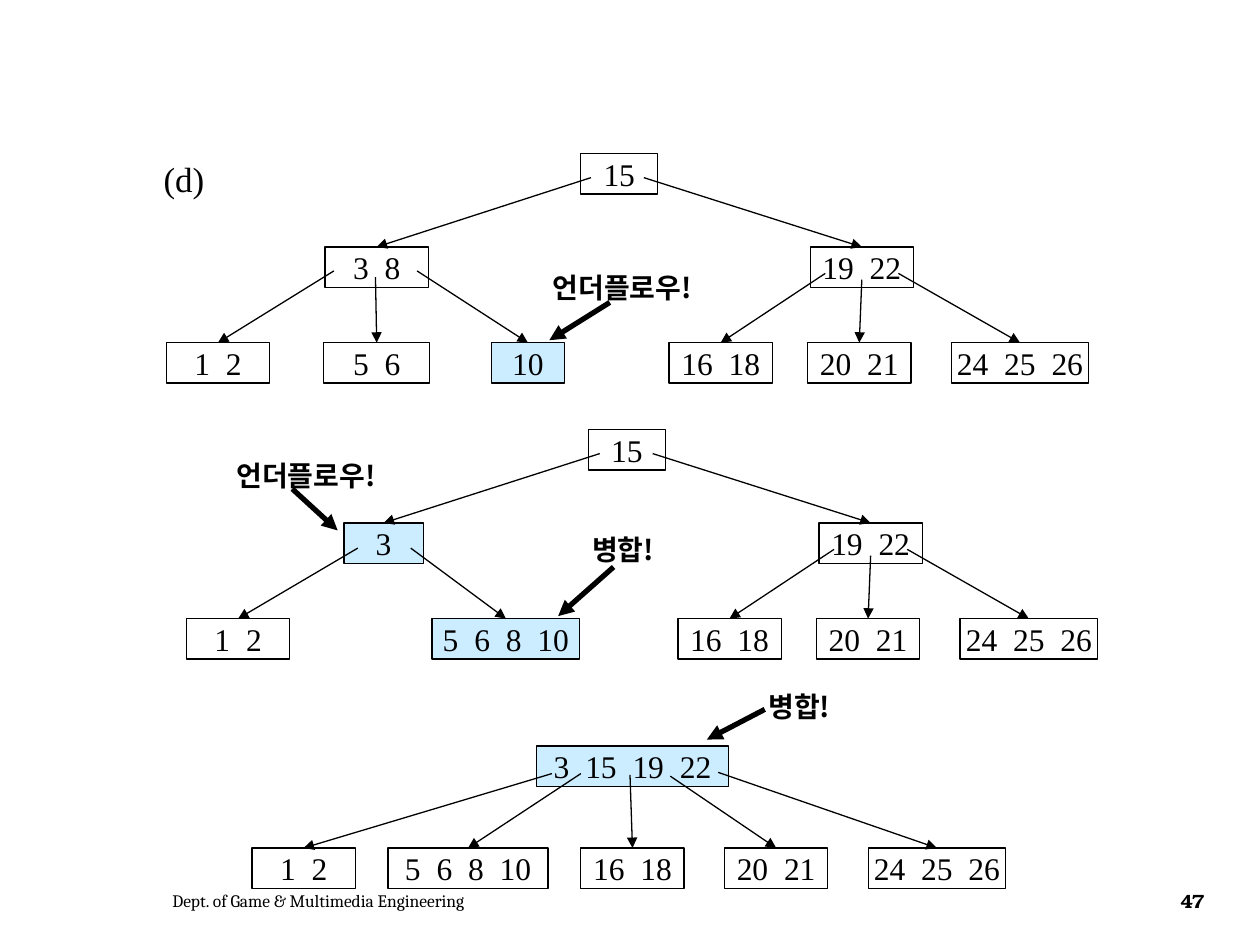
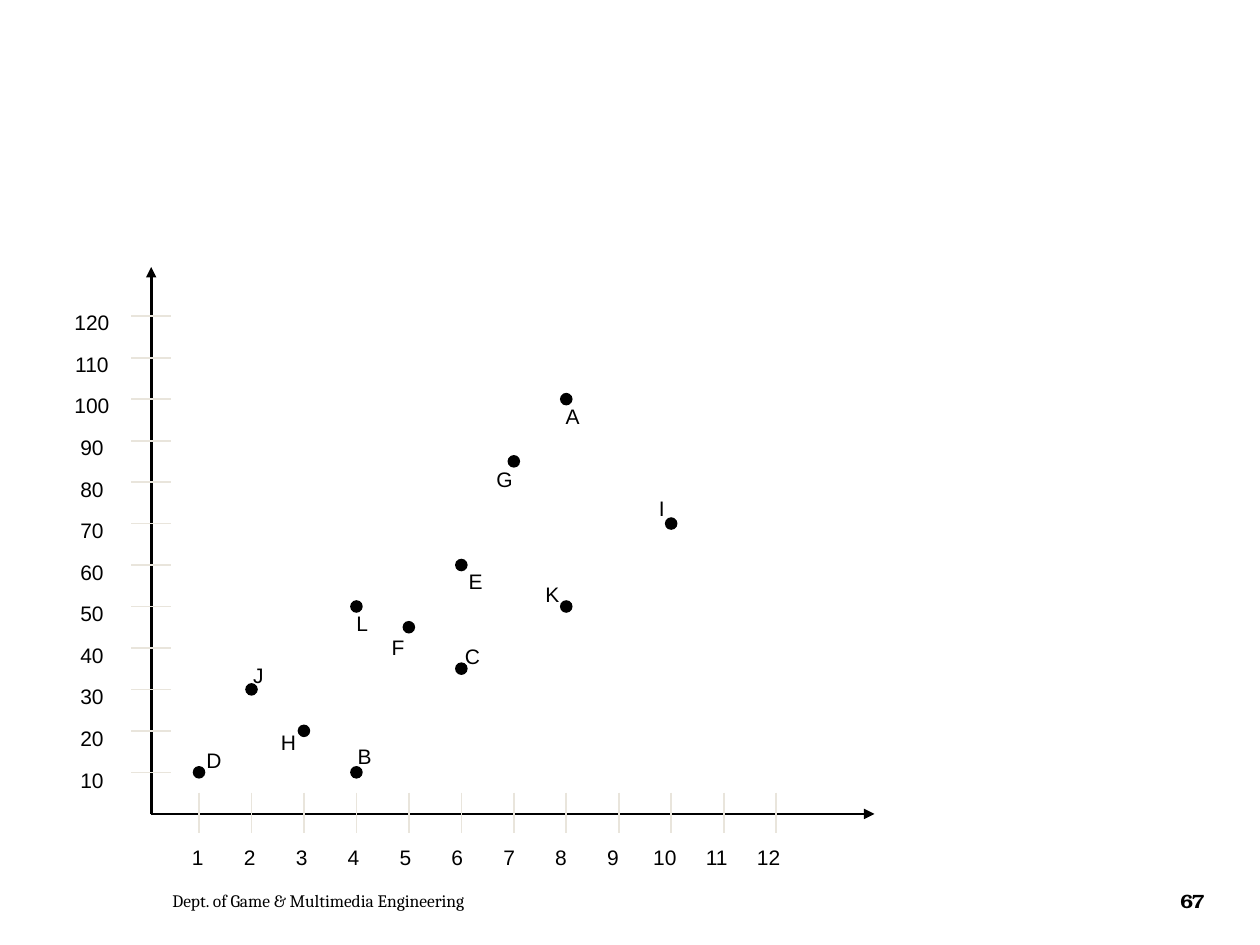
from lxml.etree import SubElement
from pptx import Presentation
from pptx.dml.color import RGBColor
from pptx.enum.shapes import MSO_CONNECTOR, MSO_SHAPE
from pptx.enum.text import MSO_ANCHOR, PP_ALIGN
from pptx.oxml.ns import qn
from pptx.util import Emu, Pt

PX = 9144  # 100 px to the inch
BLACK, HIGHLIGHT, TICK = "000000", "CCECFF", "E9E5DC"
SERIF, SANS, KOREAN = "Times New Roman", "Arial", "Noto Sans CJK KR"
FOOTER = "Dept. of Game & Multimedia Engineering"

# Each tree: rows of (top, nodes); node: keys, left, width, highlighted, arrow start
NODE_HEIGHT = 32
TREES = [
    [(122, [("15", 461, 61, False, None)]),
     (196, [("3 8", 258, 82, False, (469, 141)),
            ("19 22", 643, 82, False, (511, 141))]),
     (272, [("1 2", 132, 82, False, (265, 215)),
            ("5 6", 257, 84, False, (298, 220)),
            ("10", 390, 58, True, (331, 215)),
            ("16 18", 531, 82, False, (655, 217)),
            ("20 21", 641, 82, False, (684, 222)),
            ("24 25 26", 755, 109, False, (713, 217))])],
    [(341, [("15", 467, 61, False, None)]),
     (415, [("3", 273, 63, True, (476, 360)),
            ("19 22", 650, 82, False, (518, 360))]),
     (491, [("1 2", 148, 82, False, (284, 435)),
            ("5 6 8 10", 343, 117, True, (326, 435)),
            ("16 18", 538, 82, False, (662, 436)),
            ("20 21", 648, 82, False, (691, 441)),
            ("24 25 26", 762, 109, False, (720, 436))])],
    [(592, [("3 15 19 22", 426, 152, True, None)]),
     (673, [("1 2", 200, 82, False, (438, 614)),
            ("5 6 8 10", 308, 127, False, (461, 614)),
            ("16 18", 461, 82, False, (500, 615)),
            ("20 21", 575, 82, False, (532, 616)),
            ("24 25 26", 689, 109, False, (570, 613))])],
]
# text, left, top, width, arrow start, arrow end
CALLOUTS = [
    ("언더플로우!", 429, 210, 137, (484, 240), (436, 270)),
    ("언더플로우!", 178, 359, 137, (232, 388), (268, 421)),
    ("병합!", 460, 418, 71, (487, 450), (443, 489)),
    ("병합!", 600, 542, 71, (607, 563), (561, 587)),
]

ORIGIN = (120, 646)
STEPS = 12
FIRST_TICK, LAST_TICK = (158, 613), (616, 251)
FIRST_NUMBER, LAST_NUMBER = 157, 610
DOT = 10
# name, x value, y value, label left, label top
POINTS = [
    ("A", 8, 100, 439, 315), ("B", 4, 10, 274, 585), ("C", 6, 35, 359, 506),
    ("D", 1, 10, 154, 588), ("E", 6, 60, 362, 446), ("F", 5, 45, 301, 499),
    ("G", 7, 85, 384, 365), ("H", 3, 20, 213, 574), ("I", 10, 70, 513, 388),
    ("J", 2, 30, 191, 521), ("K", 8, 50, 423, 457), ("L", 4, 50, 273, 480),
]


def px(*lengths):
    return [Emu(round(length * PX)) for length in lengths]


def color(value):
    return RGBColor.from_string(value)


def between(first, last, step):
    """Place of a step, counted from 1, when STEPS steps run from first to last."""
    return first + (last - first) * (step - 1) / (STEPS - 1)


def style(para, font, size, bold=False, align=None, spacing=None):
    """Format a paragraph; spacing is the letter spacing in 1/100 pt."""
    para.alignment = align
    para.font.name, para.font.size, para.font.bold = font, Pt(size), bold
    para.font.color.rgb = color(BLACK)
    defaults = para._p.pPr.find(qn("a:defRPr"))
    SubElement(defaults, qn("a:ea")).set("typeface", font)
    if spacing:
        defaults.set("spc", str(spacing))


def add_text(page, text, place, font, size, wrap=False, middle=False, **looks):
    box = page.shapes.add_textbox(*px(*place))
    frame = box.text_frame
    frame.word_wrap = wrap
    frame.vertical_anchor = MSO_ANCHOR.MIDDLE if middle else MSO_ANCHOR.TOP
    frame.text = text
    for para in frame.paragraphs:
        style(para, font, size, **looks)
    return box


def add_line(page, start, end, width=0.75, line_color=BLACK, arrow=True):
    line = page.shapes.add_connector(MSO_CONNECTOR.STRAIGHT, *px(*start, *end))
    line.line.color.rgb = color(line_color)
    line.line.width = Pt(width)
    properties = line._element.spPr
    if arrow:
        SubElement(properties.find(qn("a:ln")), qn("a:tailEnd")).set("type", "triangle")
    SubElement(properties, qn("a:effectLst"))
    return line


def add_footer(page, number):
    add_text(page, FOOTER, (127, 695, 459, 40), "Cambria", 10, wrap=True, middle=True)
    add_text(page, str(number), (920, 695, 53, 40), "TeX Gyre Bonum", 11, wrap=True,
             middle=True, bold=True, align=PP_ALIGN.CENTER, spacing=-70)


def add_node(page, keys, left, top, width, highlighted):
    node = page.shapes.add_shape(MSO_SHAPE.RECTANGLE, *px(left, top, width, NODE_HEIGHT))
    node.shadow.inherit = False
    node.line.color.rgb = color(BLACK)
    node.line.width = Pt(0.75)
    if highlighted:
        node.fill.solid()
        node.fill.fore_color.rgb = color(HIGHLIGHT)
    else:
        node.fill.background()
    frame = node.text_frame
    frame.word_wrap = False
    frame.vertical_anchor = MSO_ANCHOR.MIDDLE
    para = frame.paragraphs[0]
    style(para, SERIF, 18, align=PP_ALIGN.CENTER)
    for index, key in enumerate(keys.split()):
        if index:
            gap = para.add_run()
            gap.text = " "
            gap._r.get_or_add_rPr().set("spc", "450")
        para.add_run().text = key
    return node


def build_trees(page):
    for tree in TREES:
        for top, nodes in tree:
            for keys, left, width, highlighted, start in nodes:
                node = add_node(page, keys, left, top, width, highlighted)
                if start:
                    add_line(page, start, (left + width / 2, top)).end_connect(node, 0)
    add_text(page, "(d)", (120, 120, 70, 43), SERIF, 20)
    for text, left, top, width, start, end in CALLOUTS:
        add_text(page, text, (left, top, width, 37), KOREAN, 16, bold=True)
        add_line(page, start, end, width=3)


def add_x_numbers(page):
    left = ORIGIN[0]
    box = page.shapes.add_textbox(*px(left, 665, 530, 30))
    frame = box.text_frame
    frame.word_wrap = True
    frame.margin_left = frame.margin_right = 0
    para = frame.paragraphs[0]
    tabs = SubElement(para._p.get_or_add_pPr(), qn("a:tabLst"))
    for step in range(1, STEPS + 1):
        tab = SubElement(tabs, qn("a:tab"))
        tab.set("pos", str(px(between(FIRST_NUMBER, LAST_NUMBER, step) - left)[0]))
        tab.set("algn", "ctr")
    style(para, SANS, 12)
    para.add_run().text = "".join(f"\t{step}" for step in range(1, STEPS + 1))


def add_y_numbers(page):
    numbers = "\n".join(str(10 * step) for step in range(STEPS, 0, -1))
    box = add_text(page, numbers, (43, 228, 60, 406), SANS, 12, align=PP_ALIGN.CENTER)
    for para in box.text_frame.paragraphs:
        para.line_spacing = 1.65


def build_scatter(page):
    add_line(page, ORIGIN, (694, ORIGIN[1]), width=1.5)
    add_line(page, ORIGIN, (ORIGIN[0], 212), width=1.5)
    for step in range(1, STEPS + 1):
        x, y = (between(first, last, step) for first, last in zip(FIRST_TICK, LAST_TICK))
        for start, end in (((x, 629), (x, 661)), ((104, y), (136, y))):
            add_line(page, start, end, width=1, line_color=TICK, arrow=False)
    add_x_numbers(page)
    add_y_numbers(page)
    for name, x_value, y_value, label_left, label_top in POINTS:
        x = between(FIRST_TICK[0], LAST_TICK[0], x_value)
        y = between(FIRST_TICK[1], LAST_TICK[1], y_value / 10)
        dot = page.shapes.add_shape(MSO_SHAPE.OVAL, *px(x - DOT / 2, y - DOT / 2, DOT, DOT))
        dot.shadow.inherit = False
        dot.fill.solid()
        dot.fill.fore_color.rgb = color(BLACK)
        dot.line.fill.background()
        add_text(page, name, (label_left, label_top, 35, 30), SANS, 12)


def main():
    deck = Presentation()
    deck.slide_width, deck.slide_height = px(1000, 750)
    for number, build in ((47, build_trees), (67, build_scatter)):
        page = deck.slides.add_slide(deck.slide_layouts[6])
        build(page)
        add_footer(page, number)
    deck.save("out.pptx")


if __name__ == "__main__":
    main()
